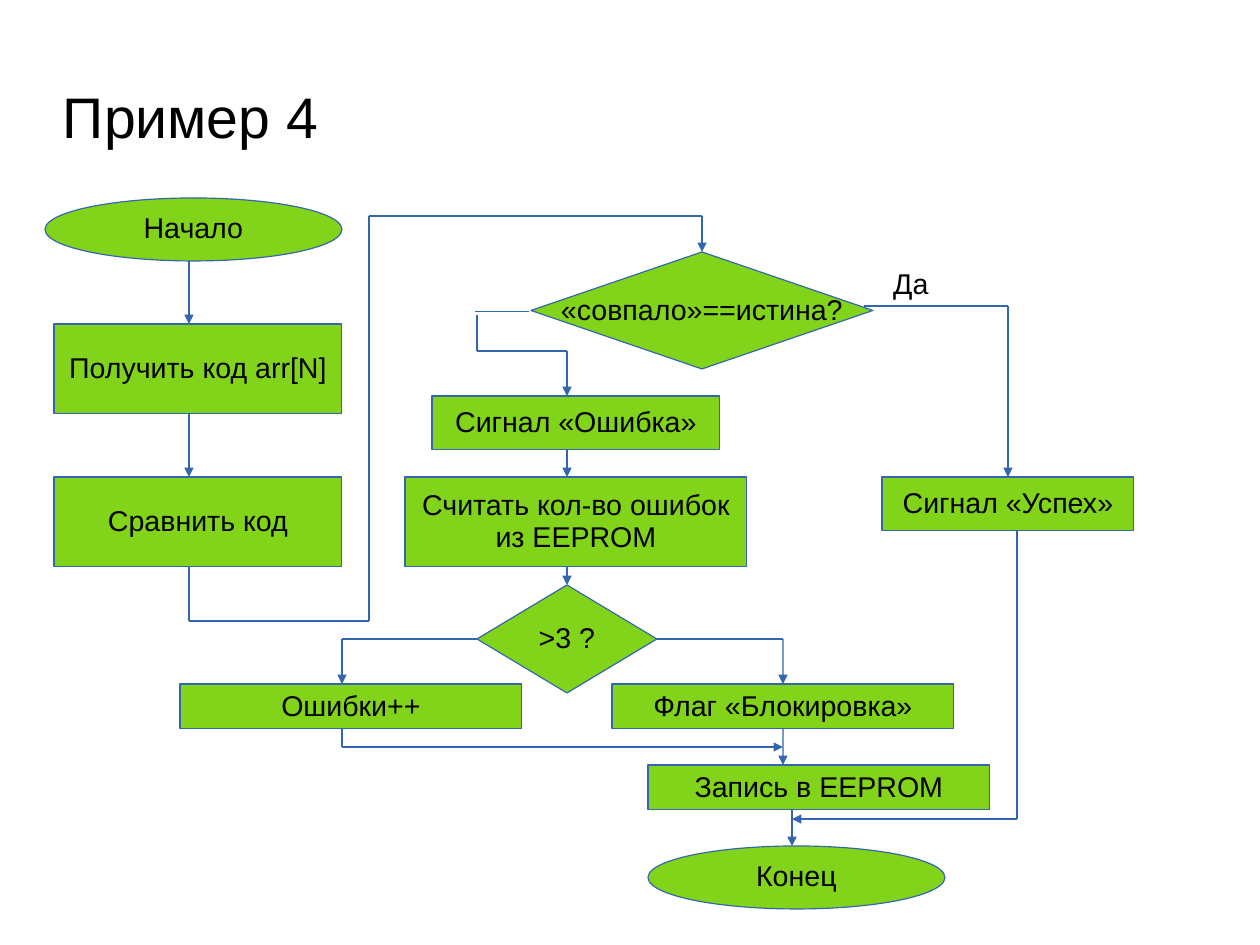
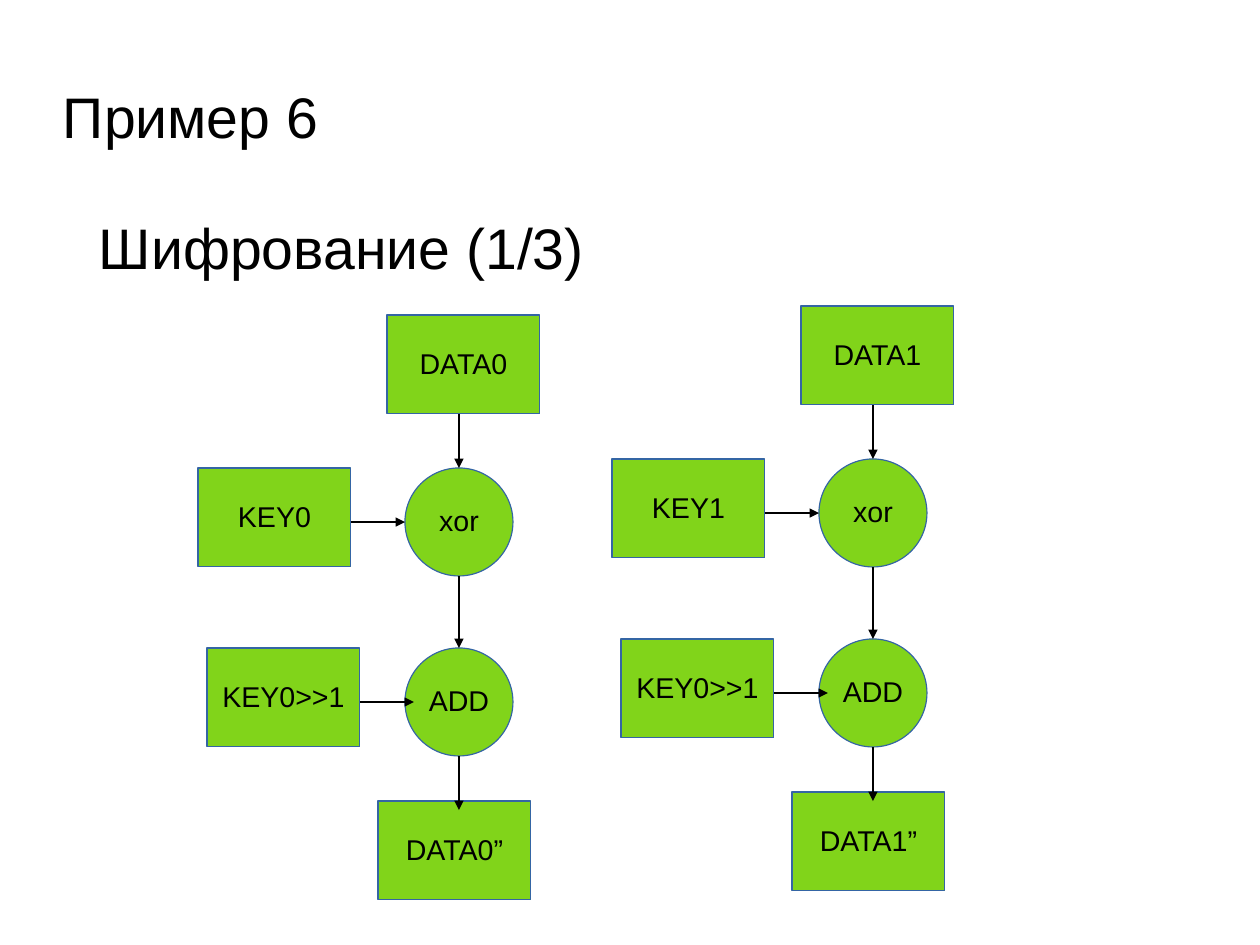
from dataclasses import dataclass

from lxml import etree
from pptx import Presentation
from pptx import util as u
from pptx.dml.color import RGBColor
from pptx.enum import shapes, text
from pptx.oxml import ns


@dataclass(frozen=True)
class Theme:
    font: str = "Arial"
    ink: str = "000000"
    fill: str = "81D41A"
    flow_line: str = "3465AF"
    cipher_line: str = "3465A4"
    title_size: int = 36
    body_size: int = 18
    line_width: float = 0.75
    line_spacing: float = 0.93


THEME = Theme()
CORNERS = {
    "box": shapes.MSO_SHAPE.RECTANGLE,
    "oval": shapes.MSO_SHAPE.OVAL,
    "choice": shapes.MSO_SHAPE.DIAMOND,
}
TITLE_AREA = (1.4, 1.6, 20, 2)
TITLE_INSETS = (0, 0.1, 0, 0)

FLOW_NODES = [
    ("oval", "Начало", (1, 4.4, 6.6, 1.4)),
    ("box", "Получить код arr[N]", (1.2, 7.2, 6.4, 2)),
    ("box", "Сравнить код", (1.2, 10.6, 6.4, 2)),
    ("choice", "«совпало»==истина?", (11.8, 5.6, 7.6, 2.6)),
    ("box", "Сигнал «Ошибка»", (9.6, 8.8, 6.4, 1.2)),
    ("box", "Считать кол-во ошибок\nиз EEPROM", (9, 10.6, 7.6, 2)),
    ("box", "Сигнал «Успех»", (19.6, 10.6, 5.6, 1.2)),
    ("choice", ">3 ?", (10.6, 13, 4, 2.4)),
    ("box", "Ошибки++", (4, 15.2, 7.6, 1)),
    ("box", "Флаг «Блокировка»", (13.6, 15.2, 7.6, 1)),
    ("box", "Запись в EEPROM", (14.4, 17, 7.6, 1)),
    ("oval", "Конец", (14.4, 18.8, 6.6, 1.4)),
]
FLOW_ARROWS = [
    [(4.2, 5.8), (4.2, 7.2)],
    [(4.2, 9.2), (4.2, 10.6)],
    [(4.2, 12.6), (4.2, 13.8), (8.2, 13.8), (8.2, 4.8), (15.6, 4.8), (15.6, 5.6)],
    [(19.2, 6.8), (22.4, 6.8), (22.4, 10.6)],
    [(22.6, 11.8), (22.6, 18.2), (17.6, 18.2)],
    [(10.6, 7), (10.6, 7.8), (12.6, 7.8), (12.6, 8.8)],
    [(12.6, 10), (12.6, 10.6)],
    [(12.6, 12.6), (12.6, 13)],
    [(10.6, 14.2), (7.6, 14.2), (7.6, 15.2)],
    [(14.6, 14.2), (17.4, 14.2), (17.4, 15.2)],
    [(7.6, 16.2), (7.6, 16.6), (17.4, 16.6)],
    [(17.4, 16.2), (17.4, 17)],
    [(17.6, 18), (17.6, 18.8)],
]
NO_BRANCH = [(11.75, 6.93), (10.55, 6.93)]
YES_LABEL = ("Да", (19.6, 5.8, 1.3, 1))

CIPHER_HEADING = ("Шифрование (1/3)", (2.2, 3.73, 22.4, 3.58))
BLOCK_SIZE = (3.4, 2.2)
CIRCLE_SIZE = (2.4, 2.4)
HALVES = [
    (("DATA0", "KEY0", "DATA0”"), (0, 0)),
    (("DATA1", "KEY1", "DATA1”"), (9.2, -0.2)),
]
CIPHER_ARROWS = [
    [(10.2, 9.2), (10.2, 10.4)],
    [(7.8, 11.6), (9, 11.6)],
    [(10.2, 12.8), (10.2, 14.4)],
    [(8, 15.6), (9.2, 15.6)],
    [(10.2, 16.8), (10.2, 18)],
]


def lengths(values):
    return [u.Cm(value) for value in values]


def write(shape, content, size, align, anchor, insets=None, wrap=False):
    frame = shape.text_frame
    frame.text = content
    frame.word_wrap = wrap
    frame.auto_size = text.MSO_AUTO_SIZE.NONE
    frame.vertical_anchor = anchor
    if insets:
        (frame.margin_left, frame.margin_top,
         frame.margin_right, frame.margin_bottom) = lengths(insets)
    for paragraph in frame.paragraphs:
        paragraph.alignment = align
        paragraph.line_spacing = THEME.line_spacing
        for run in paragraph.runs:
            run.font.name = THEME.font
            run.font.size = u.Pt(size)
            run.font.color.rgb = RGBColor.from_string(THEME.ink)


def write_heading(shape, content):
    write(shape, content, THEME.title_size, text.PP_ALIGN.LEFT,
          text.MSO_ANCHOR.MIDDLE, TITLE_INSETS, wrap=True)


def add_titled_slide(presentation, title_text):
    slide = presentation.slides.add_slide(presentation.slide_layouts[5])
    title = slide.shapes.title
    title.left, title.top, title.width, title.height = lengths(TITLE_AREA)
    write_heading(title, title_text)
    return slide


def style_line(line, color):
    line.color.rgb = RGBColor.from_string(color)
    line.width = u.Pt(THEME.line_width)


def add_nodes(slide, nodes, line_color):
    joints = {}
    for kind, label, area in nodes:
        shape = slide.shapes.add_shape(CORNERS[kind], *lengths(area))
        shape.shadow.inherit = False
        shape.fill.solid()
        shape.fill.fore_color.rgb = RGBColor.from_string(THEME.fill)
        style_line(shape.line, line_color)
        write(shape, label, THEME.body_size, text.PP_ALIGN.CENTER,
              text.MSO_ANCHOR.MIDDLE)
        if kind != "oval":
            left, top, width, height = area
            middle_x, middle_y = left + width / 2, top + height / 2
            sides = [(middle_x, top), (left, middle_y),
                     (middle_x, top + height), (left + width, middle_y)]
            for site, (x, y) in enumerate(sides):
                joints[round(x, 2), round(y, 2)] = (shape, site)
    return joints


def add_route(slide, points, color, joints, arrow=True):
    for start, end in zip(points, points[1:]):
        connector = slide.shapes.add_connector(
            shapes.MSO_CONNECTOR.STRAIGHT, *lengths(start + end))
        style_line(connector.line, color)
        properties = connector.element.spPr
        etree.SubElement(properties, ns.qn("a:effectLst"))
        if start in joints:
            connector.begin_connect(*joints[start])
        if end in joints:
            connector.end_connect(*joints[end])
        if arrow and end == points[-1]:
            etree.SubElement(properties.find(ns.qn("a:ln")),
                             ns.qn("a:tailEnd"), type="triangle")


def build_flowchart(presentation):
    slide = add_titled_slide(presentation, "Пример 4")
    joints = add_nodes(slide, FLOW_NODES, THEME.flow_line)
    for points in FLOW_ARROWS:
        add_route(slide, points, THEME.flow_line, joints)
    add_route(slide, NO_BRANCH, THEME.flow_line, joints, arrow=False)
    label, area = YES_LABEL
    write(slide.shapes.add_textbox(*lengths(area)), label, THEME.body_size,
          text.PP_ALIGN.LEFT, text.MSO_ANCHOR.TOP, (0.25, 0.18, 0.25, 0.13))


def build_cipher(presentation):
    slide = add_titled_slide(presentation, "Пример 6")
    heading, area = CIPHER_HEADING
    write_heading(slide.shapes.add_textbox(*lengths(area)), heading)
    for (data, key, result), (shift_x, shift_y) in HALVES:
        def shifted(point):
            return round(point[0] + shift_x, 2), round(point[1] + shift_y, 2)

        blocks = [(data, (8.6, 7)), (key, (4.4, 10.4)),
                  ("KEY0>>1", (4.6, 14.4)), (result, (8.4, 17.8))]
        circles = [("xor", (9, 10.4)), ("ADD", (9, 14.4))]
        nodes = [("box", label, shifted(corner) + BLOCK_SIZE)
                 for label, corner in blocks]
        nodes += [("oval", label, shifted(corner) + CIRCLE_SIZE)
                  for label, corner in circles]
        joints = add_nodes(slide, nodes, THEME.cipher_line)
        for points in CIPHER_ARROWS:
            add_route(slide, [shifted(point) for point in points],
                      THEME.ink, joints)


def main():
    presentation = Presentation()
    presentation.slide_width, presentation.slide_height = lengths((28, 21))
    build_flowchart(presentation)
    build_cipher(presentation)
    presentation.save("out.pptx")


if __name__ == "__main__":
    main()
